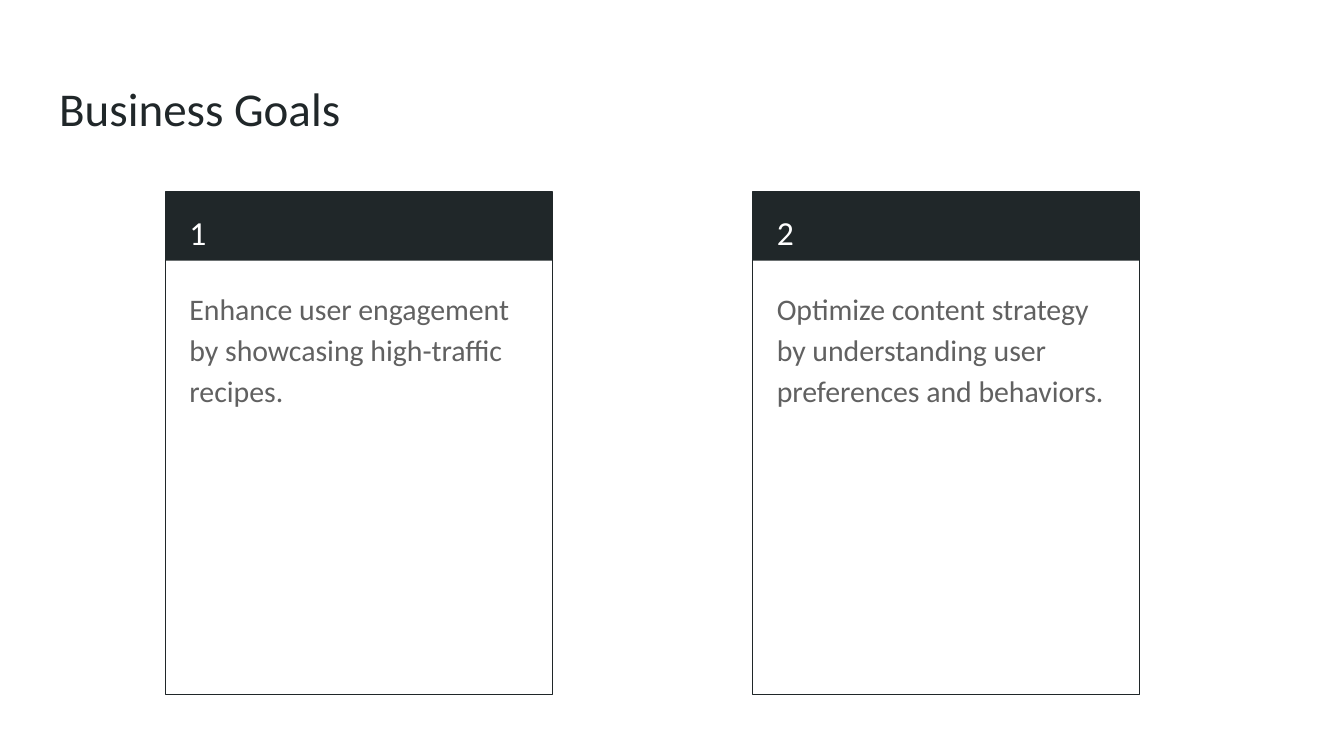
from dataclasses import dataclass

from pptx import Presentation
from pptx.dml.color import RGBColor
from pptx.enum.shapes import MSO_SHAPE
from pptx.enum.text import MSO_ANCHOR, MSO_AUTO_SIZE, PP_ALIGN
from pptx.oxml.xmlchemy import OxmlElement
from pptx.shapes.placeholder import SlidePlaceholder
from pptx.slide import Slide
from pptx.util import Inches, Pt

FONT = "Calibri"
INK = "202729"
GREY = "616161"
WHITE = "FFFFFF"

SLIDE_WIDTH = 10
SLIDE_HEIGHT = SLIDE_WIDTH * 9 / 16
CARD_TOP, CARD_WIDTH, CARD_HEIGHT = 1.43, 2.88, 3.74
HEADER_HEIGHT = 0.51
TEXT_INSET = 0.08


@dataclass(frozen=True)
class Goal:
    left: float
    number: str
    description: str
    number_idx: int
    description_idx: int


GOALS = (
    Goal(1.23, "1", "Enhance user engagement by showcasing high-traffic recipes.", 1, 2),
    Goal(5.6, "2", "Optimize content strategy by understanding user preferences "
                   "and behaviors.", 3, 4),
)


def color(value: str) -> RGBColor:
    return RGBColor.from_string(value)


def write_text(holder: SlidePlaceholder, text: str, *, left: float, top: float,
               width: float, height: float, size: float, ink: str,
               line_spacing: float = 1.0, space_after: float = 0) -> None:
    """Place a placeholder and fill it with one unbulleted paragraph."""
    holder.left, holder.top = Inches(left), Inches(top)
    holder.width, holder.height = Inches(width), Inches(height)

    frame = holder.text_frame
    frame.word_wrap = True
    frame.auto_size = MSO_AUTO_SIZE.NONE
    frame.vertical_anchor = MSO_ANCHOR.TOP
    frame.margin_left = frame.margin_right = Inches(0.1)
    frame.margin_top = frame.margin_bottom = Inches(0.1)

    paragraph = frame.paragraphs[0]
    paragraph.alignment = PP_ALIGN.LEFT
    paragraph.line_spacing = line_spacing
    paragraph.space_before = Pt(0)
    paragraph.space_after = Pt(space_after)
    properties = paragraph._p.get_or_add_pPr()
    properties.set("marL", "0")
    properties.set("indent", "0")
    properties.append(OxmlElement("a:buNone"))

    run = paragraph.add_run()
    run.text = text
    run.font.name = FONT
    run.font.size = Pt(size)
    run.font.bold = False
    run.font.color.rgb = color(ink)


def draw_card(slide: Slide, left: float) -> None:
    """Group a filled header band with the outline of the whole card."""
    card = slide.shapes.add_group_shape()
    header, outline = (
        card.shapes.add_shape(MSO_SHAPE.RECTANGLE, Inches(left), Inches(CARD_TOP),
                              Inches(CARD_WIDTH), Inches(height))
        for height in (HEADER_HEIGHT, CARD_HEIGHT)
    )
    header.shadow.inherit = outline.shadow.inherit = False
    header.fill.solid()
    header.fill.fore_color.rgb = color(INK)
    header.line.fill.background()
    outline.fill.background()
    outline.line.color.rgb = color(INK)
    outline.line.width = Pt(0.75)


def draw_goal(slide: Slide, goal: Goal) -> None:
    draw_card(slide, goal.left)
    number = slide.placeholders[goal.number_idx]
    description = slide.placeholders[goal.description_idx]
    for holder in (number, description):
        # Bring the text in front of its card.
        slide.shapes._spTree.append(holder._element)

    text_left = goal.left + TEXT_INSET
    write_text(number, goal.number, left=text_left, top=CARD_TOP, width=2.73,
               height=0.5, size=18, ink=WHITE, line_spacing=1.15)
    write_text(description, goal.description, left=text_left, top=2.02, width=2.71,
               height=3.06, size=16, ink=GREY, line_spacing=1.15, space_after=12)


def main() -> None:
    presentation = Presentation()
    presentation.slide_width = Inches(SLIDE_WIDTH)
    presentation.slide_height = Inches(SLIDE_HEIGHT)
    comparison_layout = presentation.slide_layouts[4]
    slide = presentation.slides.add_slide(comparison_layout)

    write_text(slide.shapes.title, "Business Goals", left=0.34, top=0.49,
               width=9.32, height=0.63, size=25.2, ink=INK)
    for goal in GOALS:
        draw_goal(slide, goal)

    presentation.save("out.pptx")


if __name__ == "__main__":
    main()
